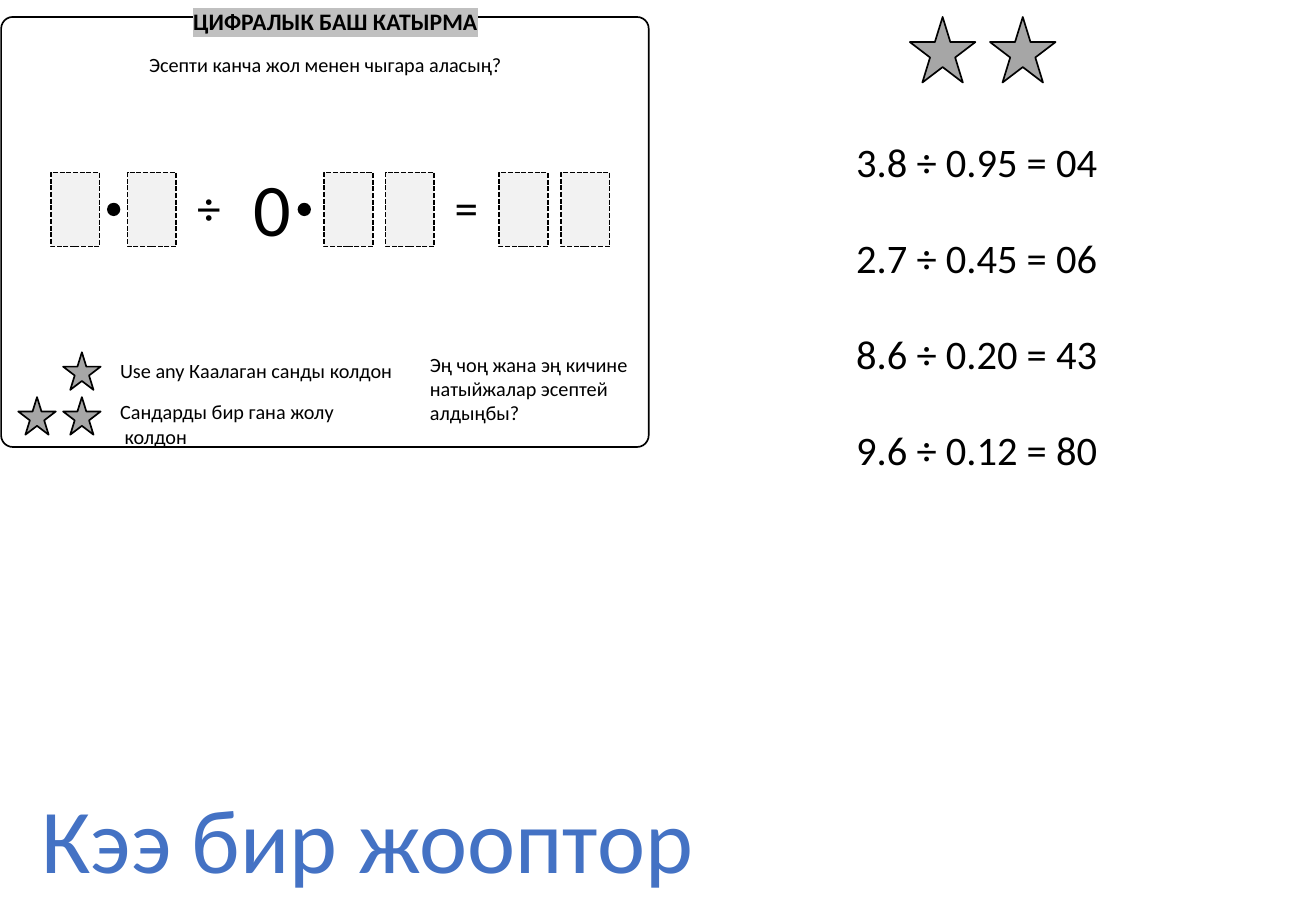
from dataclasses import dataclass

from lxml.etree import SubElement
from pptx import Presentation
from pptx.dml.color import RGBColor
from pptx.enum.dml import MSO_LINE_DASH_STYLE as Dash
from pptx.enum.shapes import MSO_SHAPE as Preset
from pptx.enum.text import MSO_ANCHOR as Anchor, MSO_AUTO_SIZE as AutoSize, PP_ALIGN as Align
from pptx.oxml.ns import qn
from pptx.shapes.autoshape import Shape
from pptx.util import Pt

BLACK = RGBColor(0x00, 0x00, 0x00)
BLUE = RGBColor(0x44, 0x72, 0xC4)
STAR_GRAY = RGBColor(0xA6, 0xA6, 0xA6)
BOX_GRAY = RGBColor(0xF2, 0xF2, 0xF2)
HIGHLIGHT = "C0C0C0"

FONT = "Calibri"
DIGIT_TOP = 102.2
SMALL_STAR, LARGE_STAR = 22.3, 38.9


@dataclass
class Label:
    text: str
    left: float
    top: float
    width: float
    height: float
    size: float = 12
    align: Align = Align.LEFT
    color: RGBColor = BLACK
    bold: bool = False


def write_text(shape: Shape, label: Label) -> None:
    """Place a text shape and format everything in it."""
    shape.left, shape.top = Pt(label.left), Pt(label.top)
    shape.width, shape.height = Pt(label.width), Pt(label.height)
    frame = shape.text_frame
    frame.text = label.text
    frame.word_wrap = False
    frame.auto_size = AutoSize.SHAPE_TO_FIT_TEXT
    frame.vertical_anchor = Anchor.TOP
    for paragraph in frame.paragraphs:
        paragraph.alignment = label.align
        for run in paragraph.runs:
            run.font.name = FONT
            run.font.size = Pt(label.size)
            run.font.bold = label.bold
            run.font.color.rgb = label.color


def add_label(shapes, label: Label) -> Shape:
    box = shapes.add_textbox(Pt(label.left), Pt(label.top), Pt(label.width), Pt(label.height))
    write_text(box, label)
    return box


def add_outlined(shapes, preset: Preset, left: float, top: float, width: float,
                 height: float, fill: RGBColor | None = None) -> Shape:
    shape = shapes.add_shape(preset, Pt(left), Pt(top), Pt(width), Pt(height))
    shape.shadow.inherit = False
    if fill is None:
        shape.fill.background()
    else:
        shape.fill.solid()
        shape.fill.fore_color.rgb = fill
    shape.line.color.rgb = BLACK
    shape.line.width = Pt(1)
    return shape


def add_star(shapes, left: float, top: float, size: float) -> None:
    add_outlined(shapes, Preset.STAR_5_POINT, left, top, size, size, STAR_GRAY)


def add_digit_boxes(shapes, *lefts: float) -> None:
    for left in lefts:
        box = add_outlined(shapes, Preset.RECTANGLE, left, DIGIT_TOP, 28.8, 43.9, BOX_GRAY)
        box.line.dash_style = Dash.SQUARE_DOT


def add_decimal_point(shapes, left: float) -> None:
    point = add_outlined(shapes, Preset.OVAL, left, 120.2, 7.9, 7.9, BLACK)
    point.line.fill.background()


def highlight(shape: Shape) -> None:
    for run in shape.text_frame.paragraphs[0].runs:
        properties = run.font._element
        mark = SubElement(properties, qn("a:highlight"))
        SubElement(mark, qn("a:srgbClr")).set("val", HIGHLIGHT)
        properties.find(qn("a:solidFill")).addnext(mark)


def main() -> None:
    presentation = Presentation()
    presentation.slide_width, presentation.slide_height = Pt(780), Pt(540)
    slide = presentation.slides.add_slide(presentation.slide_layouts[5])
    shapes = slide.shapes

    # Slide title
    write_text(shapes.title, Label("Кээ бир жооптор", 15.1, 460.1, 405.4, 72.7, 54,
                                   Align.CENTER, BLUE))

    # Puzzle card with its heading
    card = add_outlined(shapes, Preset.ROUNDED_RECTANGLE, 0.7, 10.1, 383.8, 254.9)
    card.adjustments[0] = 0.027
    heading = add_label(shapes, Label("ЦИФРАЛЫК БАШ КАТЫРМА", 106.6, 4.3, 184.3, 33.8, 14,
                                      Align.CENTER, bold=True))
    heading.text_frame.margin_top = heading.text_frame.margin_bottom = 0
    highlight(heading)
    add_label(shapes, Label("Эсепти канча жол менен чыгара аласың?", 79.9, 27.4, 226.1, 21.6,
                            align=Align.CENTER))

    # Levels of difficulty
    for left, top in ((37.4, 208.8), (37.4, 235.4), (10.8, 235.4)):
        add_star(shapes, left, top, SMALL_STAR)
    add_label(shapes, Label("Use any Каалаган санды колдон", 64.1, 208.8, 177.8, 36))
    once = add_label(shapes, Label("Сандарды бир гана жолу\nколдон", 64.1, 233.3, 142.6, 36))
    once.text_frame.paragraphs[1]._p.get_or_add_pPr().set("marL", str(Pt(2.7)))
    add_label(shapes, Label("Эң чоң жана эң кичине\nнатыйжалар эсептей\nалдыңбы?",
                            247.7, 205.2, 136.1, 65.5))

    # Equation: dividend, divisor, quotient
    dividend = shapes.add_group_shape().shapes
    add_digit_boxes(dividend, 30.2, 75.6)
    add_decimal_point(dividend, 63.4)
    divisor = shapes.add_group_shape().shapes
    add_label(divisor, Label("0", 143.3, 92.9, 36.7, 60.5, 44))
    add_decimal_point(divisor, 176.4)
    add_digit_boxes(divisor, 192.2, 228.6)
    quotient = shapes.add_group_shape().shapes
    add_digit_boxes(quotient, 295.9, 332.6)
    for sign, left in (("÷", 109.4), ("=", 262.1)):
        add_label(shapes, Label(sign, left, DIGIT_TOP, 28.8, 41, 28, Align.CENTER))

    # Sample answers
    answer_stars = shapes.add_group_shape().shapes
    for left in (539.3, 586.8):
        add_star(answer_stars, left, 10.1, LARGE_STAR)
    answers = ("3.8 ÷ 0.95 = 04", "2.7 ÷ 0.45 = 06", "8.6 ÷ 0.20 = 43", "9.6 ÷ 0.12 = 80")
    for row, answer in enumerate(answers):
        add_label(shapes, Label(answer, 500.4, 77.8 + 56.9 * row, 158.4, 36, 24))

    presentation.save("out.pptx")


if __name__ == "__main__":
    main()
